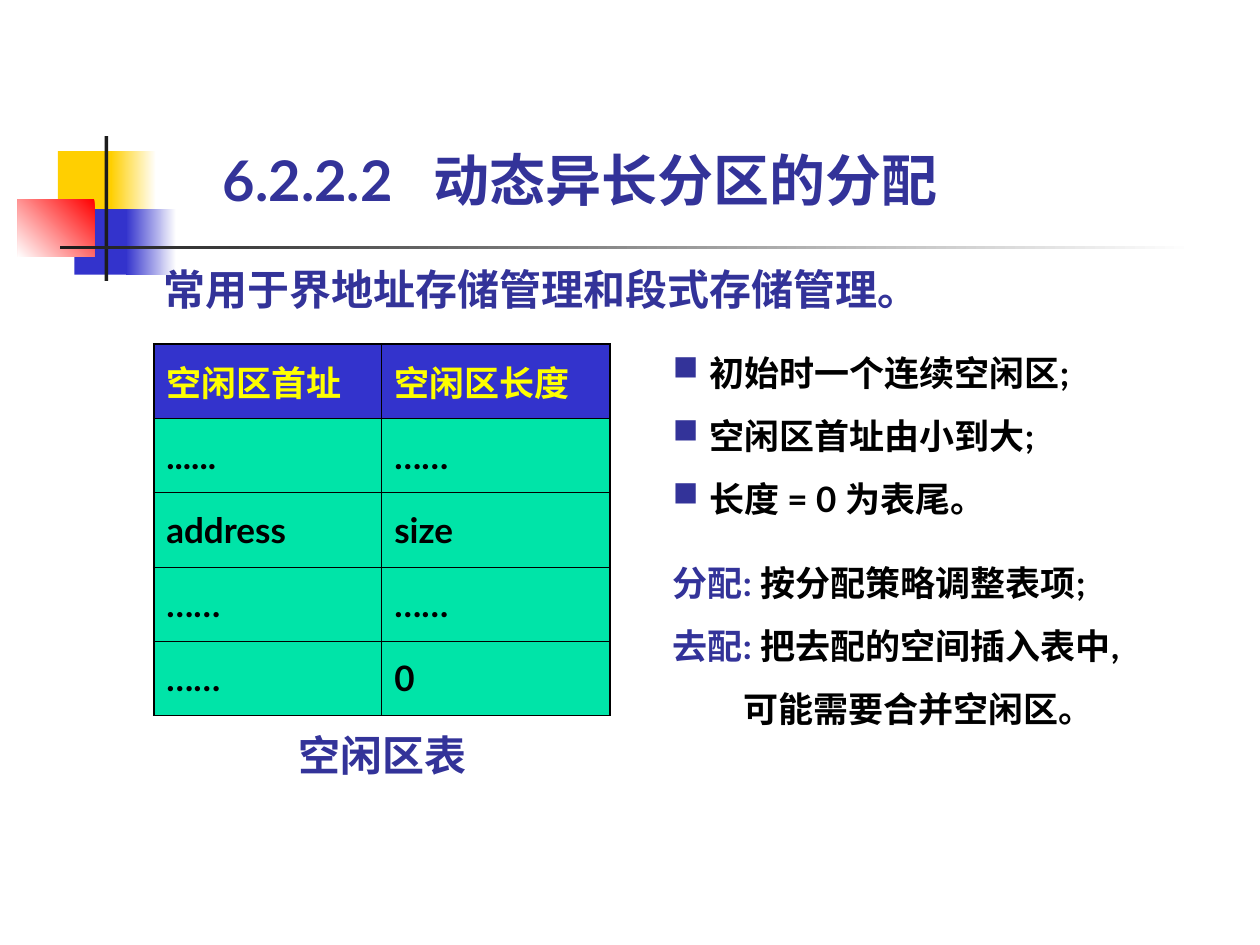
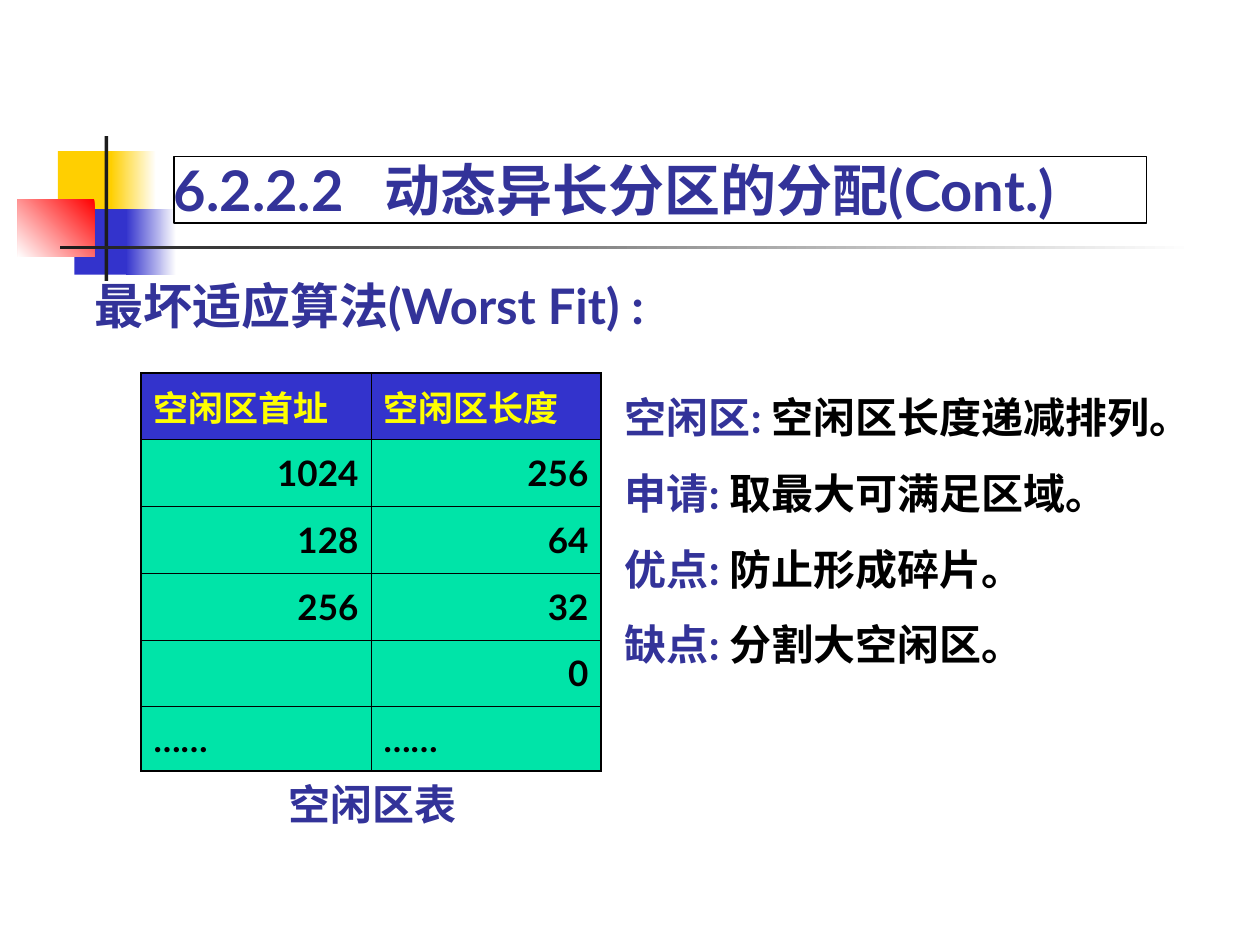
from dataclasses import dataclass

import lxml.etree
import pptx
import pptx.dml.color
import pptx.enum.shapes
import pptx.enum.text
import pptx.oxml.ns
import pptx.shapes.autoshape
import pptx.slide
import pptx.table
import pptx.text.text
import pptx.util

Inches = pptx.util.Inches
Pt = pptx.util.Pt
qn = pptx.oxml.ns.qn
ALIGN = pptx.enum.text.PP_ALIGN
ANCHOR = pptx.enum.text.MSO_ANCHOR


@dataclass(frozen=True)
class Theme:
    font: str = "Lato"
    heading: str = "333399"
    ink: str = "000000"
    paper: str = "FFFFFF"
    gold: str = "FFCF01"
    blue: str = "3333CC"
    red: str = "FF0000"
    rule: str = "1C1C1C"
    header_text: str = "FFFF00"
    cell: str = "00E4A8"
    title_size: float = 32
    large_size: float = 28
    medium_size: float = 24
    small_size: float = 20
    outer_border: float = 1.08
    inner_border: float = 0.45


THEME = Theme()


@dataclass(frozen=True)
class Box:
    left: float
    top: float
    width: float
    height: float

    def lengths(self) -> list[int]:
        return [Inches(v) for v in (self.left, self.top, self.width, self.height)]


@dataclass(frozen=True)
class Block:
    box: Box
    start: str
    end: str | None = None
    angle: float = 180


@dataclass(frozen=True)
class Line:
    lead: str
    body: str = ""
    size: float = THEME.medium_size
    spacing: float | None = None
    before: float | None = None
    align: ALIGN | None = None
    margin: float = 0
    tab: float | None = None
    bullet: bool = False


@dataclass(frozen=True)
class FreeTable:
    box: Box
    row_heights: list[float]
    rows: list[tuple[str, str]]
    caption: Box


MOTIF = [
    Block(Box(0.46, 1.2, 0.48, 0.52), THEME.gold),
    Block(Box(0.88, 1.2, 0.36, 0.52), THEME.paper, THEME.gold),
    Block(Box(0.59, 1.66, 0.46, 0.52), THEME.blue),
    Block(Box(1, 1.66, 0.4, 0.52), THEME.paper, THEME.blue),
    Block(Box(0.14, 1.58, 0.61, 0.46), THEME.red, THEME.paper, 225),
    Block(Box(0.83, 1.08, 0.03, 1.15), THEME.rule),
    Block(Box(0.48, 1.95, 9, 0.03), THEME.paper, THEME.rule),
]
TABLE_HEADER = ("空闲区首址", "空闲区长度")
SECTION = "6.2.2.2\t动态异长分区的分配"


def rgb(value: str) -> pptx.dml.color.RGBColor:
    return pptx.dml.color.RGBColor.from_string(value)


def draw_block(slide: pptx.slide.Slide, block: Block) -> None:
    shape = slide.shapes.add_shape(
        pptx.enum.shapes.MSO_SHAPE.RECTANGLE, *block.box.lengths()
    )
    shape.shadow.inherit = False
    shape.line.fill.background()
    if block.end is None:
        shape.fill.solid()
        shape.fill.fore_color.rgb = rgb(block.start)
        return
    shape.fill.gradient()
    shape.fill.gradient_angle = block.angle
    for stop, color in zip(shape.fill.gradient_stops, (block.start, block.end)):
        stop.color.rgb = rgb(color)


def add_run(
    paragraph: pptx.text.text._Paragraph, text: str, size: float, color: str
) -> None:
    run = paragraph.add_run()
    run.text = text
    formats = {"name": THEME.font, "size": Pt(size), "bold": True}
    for attribute, value in formats.items():
        setattr(run.font, attribute, value)
    run.font.color.rgb = rgb(color)


def write_line(paragraph: pptx.text.text._Paragraph, line: Line) -> None:
    properties = paragraph._p.get_or_add_pPr()
    if line.margin:
        properties.set("marL", str(Inches(line.margin)))
    if line.bullet:
        properties.set("indent", str(-Inches(line.margin)))
        color = lxml.etree.SubElement(properties, qn("a:buClr"))
        lxml.etree.SubElement(color, qn("a:srgbClr"), val=THEME.heading)
        lxml.etree.SubElement(properties, qn("a:buChar"), char="■")
    if line.tab:
        stops = lxml.etree.SubElement(properties, qn("a:tabLst"))
        lxml.etree.SubElement(
            stops, qn("a:tab"), pos=str(Inches(line.tab)), algn="l"
        )
    formats = {
        "alignment": line.align,
        "line_spacing": line.spacing,
        "space_before": None if line.before is None else Pt(line.before),
    }
    for attribute, value in formats.items():
        if value is not None:
            setattr(paragraph, attribute, value)
    for text, color in ((line.lead, THEME.heading), (line.body, THEME.ink)):
        if text:
            add_run(paragraph, text, line.size, color)


def draw_text(
    slide: pptx.slide.Slide,
    box: Box,
    lines: list[Line],
    anchor: ANCHOR = ANCHOR.BOTTOM,
    insets: tuple[float, float] = (0, 0),
    grow: bool = True,
) -> pptx.shapes.autoshape.Shape:
    holder = slide.shapes.add_textbox(*box.lengths())
    frame = holder.text_frame
    across, down = (Inches(inset) for inset in insets)
    fit = pptx.enum.text.MSO_AUTO_SIZE
    formats = {
        "word_wrap": True,
        "vertical_anchor": anchor,
        "margin_left": across,
        "margin_right": across,
        "margin_top": down,
        "margin_bottom": down,
        "auto_size": fit.SHAPE_TO_FIT_TEXT if grow else fit.NONE,
    }
    for attribute, value in formats.items():
        setattr(frame, attribute, value)
    for index, line in enumerate(lines):
        write_line(frame.add_paragraph() if index else frame.paragraphs[0], line)
    return holder


def draw_borders(cell: pptx.table._Cell, outer_sides: dict[str, bool]) -> None:
    properties = cell._tc.get_or_add_tcPr()
    for side, is_outer in outer_sides.items():
        width = THEME.outer_border if is_outer else THEME.inner_border
        border = lxml.etree.SubElement(properties, qn(f"a:ln{side}"), w=str(Pt(width)))
        fill = lxml.etree.SubElement(border, qn("a:solidFill"))
        lxml.etree.SubElement(fill, qn("a:srgbClr"), val=THEME.ink)


def draw_free_table(slide: pptx.slide.Slide, free: FreeTable) -> None:
    rows = [TABLE_HEADER, *free.rows]
    last_row, last_column = len(rows) - 1, len(TABLE_HEADER) - 1
    table = slide.shapes.add_table(
        len(rows), len(TABLE_HEADER), *free.box.lengths()
    ).table
    table.first_row = table.horz_banding = False
    for row, height in zip(table.rows, free.row_heights):
        row.height = Inches(height)
    for r, values in enumerate(rows):
        for c, value in enumerate(values):
            cell = table.cell(r, c)
            draw_borders(
                cell,
                {"L": c == 0, "R": c == last_column, "T": r == 0, "B": r == last_row},
            )
            cell.fill.solid()
            cell.fill.fore_color.rgb = rgb(THEME.cell if r else THEME.blue)
            cell.vertical_anchor = ANCHOR.MIDDLE
            if value:
                entry = cell.text_frame.paragraphs[0]
                if value.isdigit() and len(rows) > 5:
                    entry.alignment = ALIGN.RIGHT
                color = THEME.ink if r else THEME.header_text
                add_run(entry, value, THEME.small_size, color)
    draw_text(
        slide, free.caption, [Line("空闲区表", align=ALIGN.CENTER)], grow=False
    )


def start_slide(
    deck: pptx.presentation.Presentation, title: str, title_box: Box
) -> tuple[pptx.slide.Slide, pptx.shapes.autoshape.Shape]:
    slide = deck.slides.add_slide(deck.slide_layouts[6])
    for block in MOTIF:
        draw_block(slide, block)
    heading = draw_text(
        slide, title_box, [Line(title, size=THEME.title_size, tab=1.67)]
    )
    return slide, heading


def build_allocation(deck: pptx.presentation.Presentation) -> None:
    slide, _ = start_slide(deck, SECTION, Box(1.77, 1.16, 6.14, 0.53))
    draw_text(
        slide,
        Box(1.3, 2.09, 6.77, 0.4),
        [Line("常用于界地址存储管理和段式存储管理。")],
    )
    rows = [("......", "……"), ("address", "size"), ("……", "……"), ("……", "0")]
    draw_free_table(
        slide,
        FreeTable(
            Box(1.22, 2.73, 3.62, 2.95), [0.59] * 5, rows, Box(2.09, 5.8, 1.89, 0.39)
        ),
    )
    shared = {"size": THEME.small_size, "spacing": 1.5}
    rules = ["初始时一个连续空闲区;", "空闲区首址由小到大;", "长度 = 0 为表尾。"]
    lines = [Line("", rule, margin=0.29, bullet=True, **shared) for rule in rules]
    lines += [
        Line("分配: ", "按分配策略调整表项;", before=12.5, **shared),
        Line("去配: ", "把去配的空间插入表中,", **shared),
        Line("", "可能需要合并空闲区。", margin=0.56, **shared),
    ]
    draw_text(slide, Box(5.24, 2.57, 4.02, 3.28), lines, ANCHOR.TOP, (0.1, 0.05))


def build_worst_fit(deck: pptx.presentation.Presentation) -> None:
    slide, heading = start_slide(
        deck, f"{SECTION}(Cont.)", Box(1.38, 1.24, 7.72, 0.53)
    )
    heading.line.color.rgb = rgb(THEME.ink)
    heading.line.width = Pt(0.75)
    draw_text(
        slide,
        Box(0.75, 2.18, 4.69, 0.47),
        [Line("最坏适应算法(Worst Fit) :", size=THEME.large_size)],
    )
    rows = [("1024", "256"), ("128", "64"), ("256", "32"), ("", "0"), ("……", "……")]
    draw_free_table(
        slide,
        FreeTable(
            Box(1.12, 2.96, 3.65, 3.15),
            [0.53] * 5 + [0.51],
            rows,
            Box(2.01, 6.19, 1.89, 0.39),
        ),
    )
    traits = {
        "空闲区": "空闲区长度递减排列。",
        "申请": "取最大可满足区域。",
        "优点": "防止形成碎片。",
        "缺点": "分割大空闲区。",
    }
    lines = [Line(f"{trait}: ", text, spacing=1.5) for trait, text in traits.items()]
    draw_text(slide, Box(4.96, 2.91, 4.69, 2.4), lines, ANCHOR.TOP)


def main() -> None:
    deck = pptx.Presentation()
    deck.slide_width, deck.slide_height = Inches(10), Inches(7.5)
    build_allocation(deck)
    build_worst_fit(deck)
    deck.save("out.pptx")


if __name__ == "__main__":
    main()
